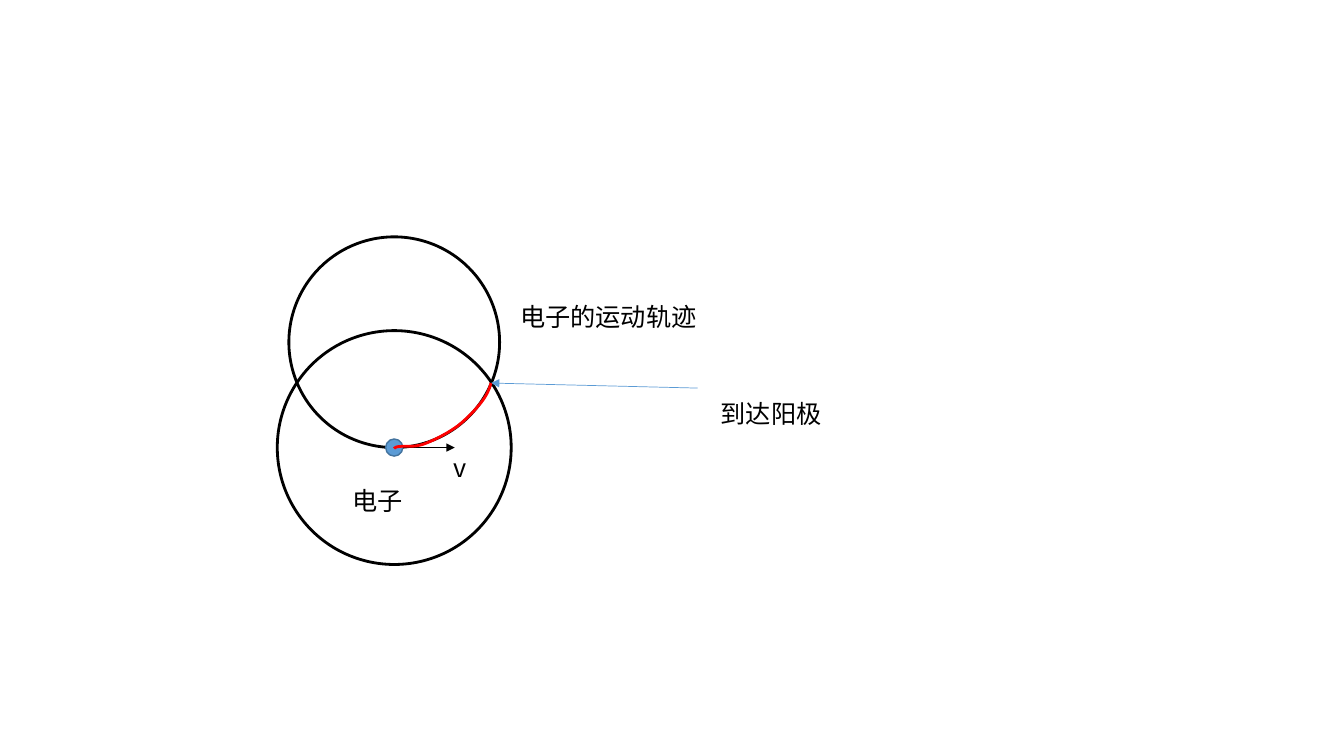
import pptx
import pptx.dml.color
import pptx.enum.shapes
import pptx.enum.text
import pptx.oxml
import pptx.oxml.ns
import pptx.util

Inches = pptx.util.Inches
FONT = "Noto Sans CJK SC"
BLACK, BLUE, DARK_BLUE, RED = "000000", "5B9BD5", "43739E", "FF0000"


def color(value):
    return pptx.dml.color.RGBColor.from_string(value)


def set_line(shape, line_color, width):
    shape.line.color.rgb = color(line_color)
    shape.line.width = pptx.util.Pt(width)


def add_circle(slide, center_x, center_y, radius, line_color, width, fill=None):
    shape = slide.shapes.add_shape(
        pptx.enum.shapes.MSO_SHAPE.OVAL, Inches(center_x - radius),
        Inches(center_y - radius), Inches(2 * radius), Inches(2 * radius))
    shape.shadow.inherit = False
    if fill:
        shape.fill.solid()
        shape.fill.fore_color.rgb = color(fill)
    else:
        shape.fill.background()
    set_line(shape, line_color, width)


def add_arrow(slide, start, end, line_color):
    connector = slide.shapes.add_connector(
        pptx.enum.shapes.MSO_CONNECTOR.STRAIGHT,
        *[Inches(value) for value in (*start, *end)])
    set_line(connector, line_color, 0.5)
    namespace = pptx.oxml.ns.nsdecls("a")
    connector.line._get_or_add_ln().append(
        pptx.oxml.parse_xml(f'<a:tailEnd {namespace} type="triangle"/>'))
    connector._element.spPr.append(
        pptx.oxml.parse_xml(f"<a:effectLst {namespace}/>"))


def add_label(slide, text, left, top, width):
    box = slide.shapes.add_textbox(
        Inches(left), Inches(top), Inches(width), Inches(0.4))
    text_frame = box.text_frame
    text_frame.text = text
    text_frame.word_wrap = False
    text_frame.auto_size = pptx.enum.text.MSO_AUTO_SIZE.SHAPE_TO_FIT_TEXT
    font = text_frame.paragraphs[0].runs[0].font
    font.name = FONT
    font.size = pptx.util.Pt(18)
    font.color.rgb = color(BLACK)
    font._element.append(pptx.oxml.parse_xml(
        f'<a:ea {pptx.oxml.ns.nsdecls("a")} typeface="{FONT}"/>'))


def curve_points(start, curves, steps=12):
    """Sample a chain of cubic curves as points."""
    points = [start]
    for control_1, control_2, end in curves:
        start = points[-1]
        for step in range(1, steps + 1):
            t = step / steps
            u = 1 - t
            points.append(tuple(
                u**3 * a + 3 * u**2 * t * b + 3 * u * t**2 * c + t**3 * d
                for a, b, c, d in zip(start, control_1, control_2, end)))
    return points


def add_trajectory(slide, left, top):
    curves = [
        ((0.01, 0.64), (0.02, 0.63), (0.06, 0.63)),
        ((0.10, 0.62), (0.18, 0.64), (0.28, 0.61)),
        ((0.37, 0.58), (0.51, 0.51), (0.61, 0.44)),
        ((0.71, 0.37), (0.83, 0.24), (0.88, 0.17)),
        ((0.94, 0.09), (0.96, 0), (0.96, 0)),
    ]
    points = [(Inches(left + x), Inches(top + y))
              for x, y in curve_points((0, 0.65), curves)]
    builder = slide.shapes.build_freeform(*points[0])
    builder.add_line_segments(points[1:], close=False)
    shape = builder.convert_to_shape()
    shape.shadow.inherit = False
    shape.fill.background()
    set_line(shape, RED, 2)


def add_electron_diagram(slide, left, top):
    center_x, electron_y = left + 1.16, top + 2.09
    anode_x, anode_y = left + 2.12, top + 1.45

    # Anode, full orbit and electron
    add_circle(slide, center_x, electron_y, 1.16, BLACK, 2)
    add_circle(slide, center_x, top + 1.045, 1.045, BLACK, 2)
    add_circle(slide, center_x, electron_y, 0.085, DARK_BLUE, 1, BLUE)

    # Velocity and arrival arrows
    add_arrow(slide, (left + 1.25, electron_y), (left + 1.76, electron_y), BLACK)
    add_arrow(slide, (left + 4.17, top + 1.5), (anode_x, anode_y), BLUE)

    # Labels
    for text, x, y, width in (
            ("电子", 0.65, 2.42, 0.71), ("v", 1.65, 2.09, 0.32),
            ("电子的运动轨迹", 2.31, 0.59, 1.97), ("到达阳极", 4.3, 1.55, 1.21)):
        add_label(slide, text, left + x, top + y, width)

    # Path travelled from the electron to the anode
    add_trajectory(slide, center_x, anode_y)


presentation = pptx.Presentation()
presentation.slide_width = Inches(13.33)
presentation.slide_height = Inches(7.5)
slide = presentation.slides.add_slide(presentation.slide_layouts[6])
add_electron_diagram(slide, 2.75, 2.35)
presentation.save("out.pptx")
